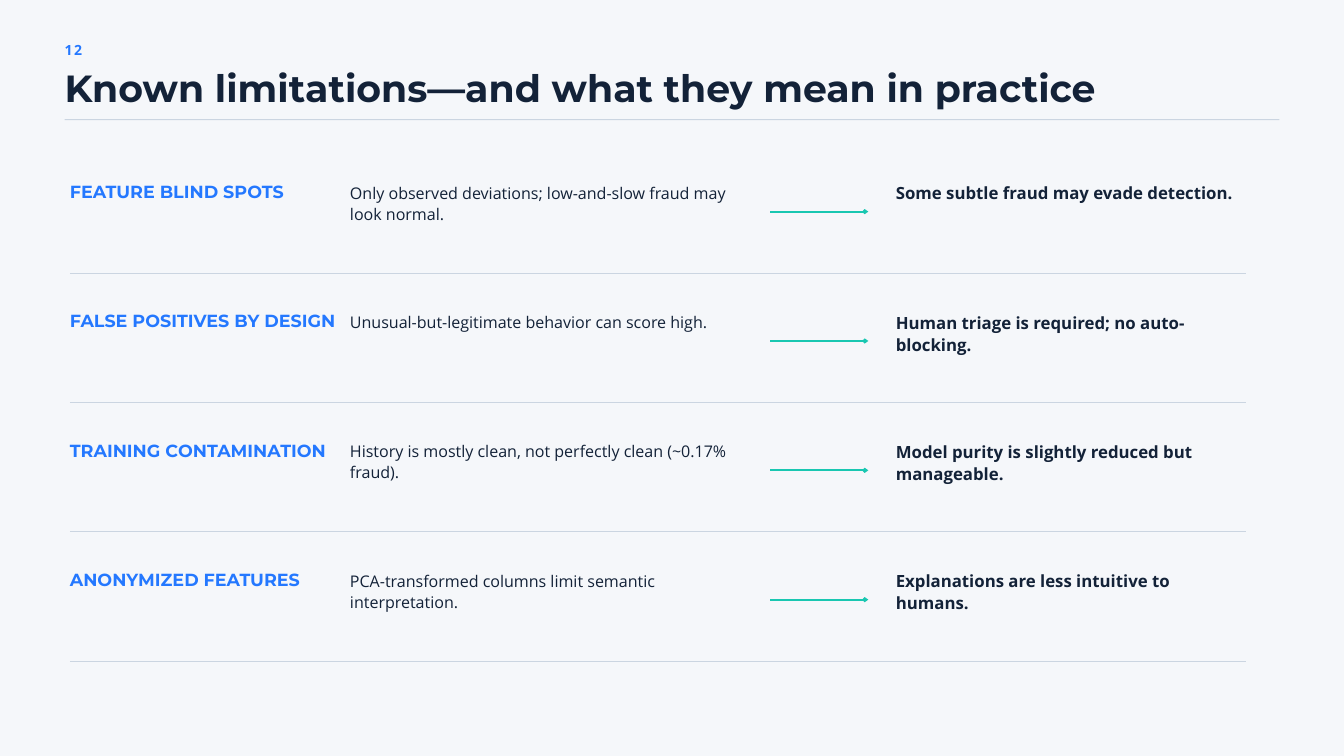
import lxml.etree
import pptx
import pptx.dml.color
import pptx.enum.shapes
import pptx.enum.text
import pptx.oxml.ns
import pptx.util

Cm, Pt = pptx.util.Cm, pptx.util.Pt
RGBColor = pptx.dml.color.RGBColor
qn = pptx.oxml.ns.qn

BACKGROUND = RGBColor(0xF5, 0xF7, 0xFA)
INK = RGBColor(0x13, 0x22, 0x38)
BLUE = RGBColor(0x24, 0x78, 0xFF)
TEAL = RGBColor(0x19, 0xC7, 0xB1)
RULE = RGBColor(0xCB, 0xD5, 0xE1)

PAGE_NUMBER = "12"
TITLE = "Known limitations—and what they mean in practice"
LIMITATIONS = [
    ("FEATURE BLIND SPOTS",
     "Only observed deviations; low-and-slow fraud may look normal.",
     "Some subtle fraud may evade detection."),
    ("FALSE POSITIVES BY DESIGN",
     "Unusual-but-legitimate behavior can score high.",
     "Human triage is required; no auto-blocking."),
    ("TRAINING CONTAMINATION",
     "History is mostly clean, not perfectly clean (~0.17% fraud).",
     "Model purity is slightly reduced but manageable."),
    ("ANONYMIZED FEATURES",
     "PCA-transformed columns limit semantic interpretation.",
     "Explanations are less intuitive to humans."),
]

# Text styles: font, size, line spacing, colour, bold
NUMBER_STYLE = ("Open Sans", 15, 21, BLUE, True)
TITLE_STYLE = ("Montserrat", 40.5, 42.5, INK, True)
LABEL_STYLE = ("Montserrat", 18.8, 19.7, BLUE, True)
CAUSE_STYLE = ("Open Sans", 17.2, 22.4, INK, False)
EFFECT_STYLE = ("Open Sans", 18, 23.4, INK, True)

# Columns in cm: left, width, offset from the row top, height, style
COLUMNS = [
    (2.64, 10.31, 0.08, 0.74, LABEL_STYLE),
    (13.23, 15.09, 0, 1.5, CAUSE_STYLE),
    (33.86, 13.23, 0, 1.6, EFFECT_STYLE),
]
MARGIN = 2.44
FIRST_ROW, ROW_PITCH = 6.86, 4.89
ARROW_LEFT, ARROW_RIGHT, ARROW_OFFSET = 29.11, 32.82, 1.14
DIVIDER_LEFT, DIVIDER_RIGHT, DIVIDER_OFFSET = 2.64, 47.09, 3.46


def add_text(slide, text, left, top, width, height, style):
    font_name, size, spacing, color, bold = style
    box = slide.shapes.add_textbox(Cm(left), Cm(top), Cm(width), Cm(height))
    frame = box.text_frame
    frame.margin_left = frame.margin_right = 0
    frame.margin_top = frame.margin_bottom = 0
    frame.word_wrap = True
    frame.vertical_anchor = pptx.enum.text.MSO_ANCHOR.TOP
    frame.text = text
    paragraph = frame.paragraphs[0]
    paragraph.line_spacing = Pt(spacing)
    run = paragraph.runs[0]
    run.font.name, run.font.size, run.font.bold = font_name, Pt(size), bold
    run.font.color.rgb = color
    return run


def add_line(slide, left, right, y, color, weight, arrow=False):
    line = slide.shapes.add_connector(
        pptx.enum.shapes.MSO_CONNECTOR.STRAIGHT,
        Cm(left), Cm(y), Cm(right), Cm(y))
    line.line.color.rgb = color
    line.line.width = Pt(weight)
    properties = line._element.find(qn("p:spPr"))
    if arrow:
        lxml.etree.SubElement(properties.find(qn("a:ln")), qn("a:tailEnd"),
                              type="arrow", w="sm", len="sm")
    lxml.etree.SubElement(properties, qn("a:effectLst"))


def add_header(slide):
    number = add_text(slide, PAGE_NUMBER, MARGIN, 1.45, 5.28, 0.71, NUMBER_STYLE)
    number._r.get_or_add_rPr().set("spc", "180")
    add_text(slide, TITLE, MARGIN, 2.67, 39.67, 1.5, TITLE_STYLE)
    rule = slide.shapes.add_shape(
        pptx.enum.shapes.MSO_SHAPE.RECTANGLE,
        Cm(MARGIN), Cm(4.5), Cm(45.92), Cm(0.04))
    rule.shadow.inherit = False
    rule.fill.solid()
    rule.fill.fore_color.rgb = RULE
    rule.line.fill.background()


def add_limitation(slide, top, texts):
    for text, (left, width, offset, height, style) in zip(texts, COLUMNS):
        add_text(slide, text, left, top + offset, width, height, style)
    add_line(slide, ARROW_LEFT, ARROW_RIGHT, top + ARROW_OFFSET, TEAL, 2.25, arrow=True)
    add_line(slide, DIVIDER_LEFT, DIVIDER_RIGHT, top + DIVIDER_OFFSET, RULE, 0.75)


def main():
    presentation = pptx.Presentation()
    presentation.slide_width, presentation.slide_height = Cm(50.8), Cm(28.58)
    slide = presentation.slides.add_slide(presentation.slide_layouts[6])
    slide.background.fill.solid()
    slide.background.fill.fore_color.rgb = BACKGROUND
    add_header(slide)
    for row, texts in enumerate(LIMITATIONS):
        add_limitation(slide, FIRST_ROW + row * ROW_PITCH, texts)
    presentation.save("out.pptx")


if __name__ == "__main__":
    main()
